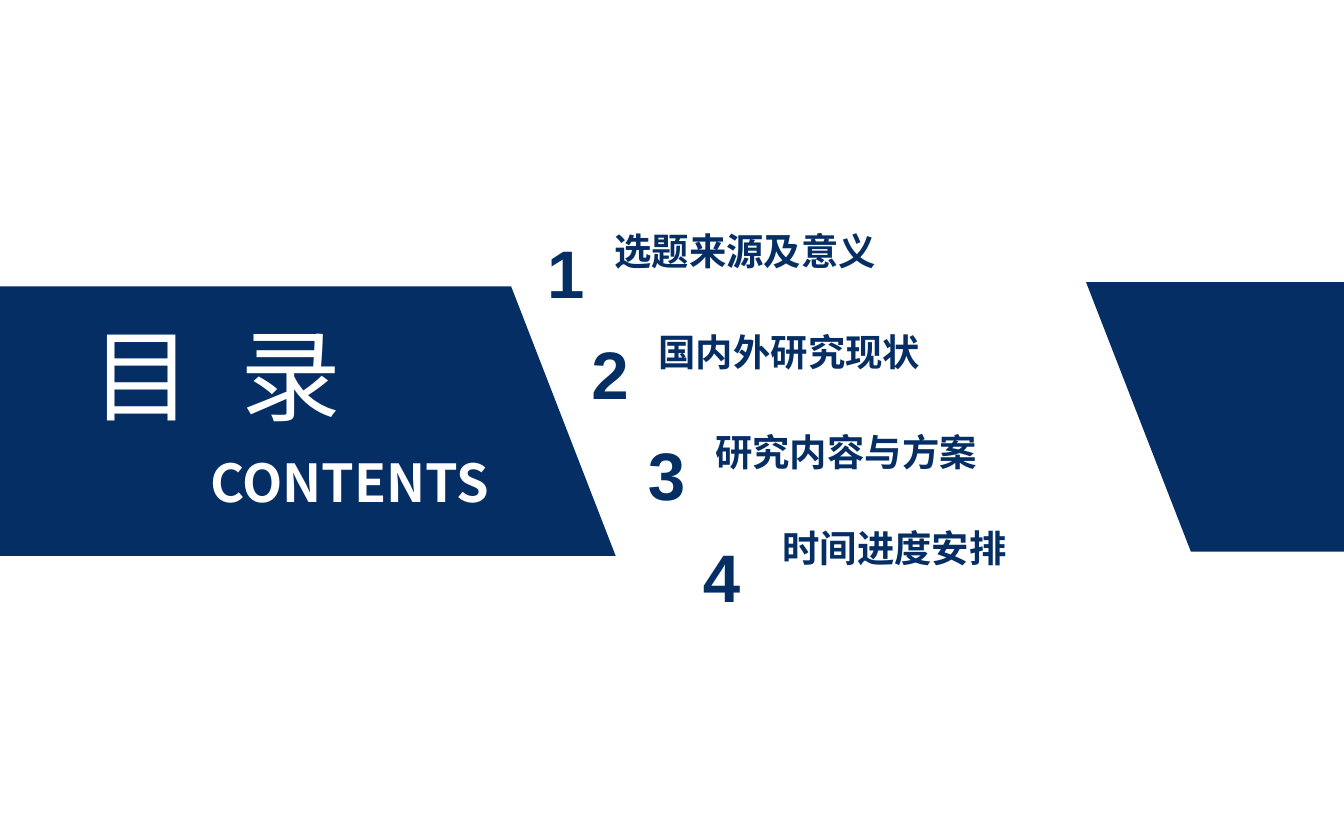
from dataclasses import dataclass

from lxml import etree
from pptx import Presentation
from pptx.dml import color
from pptx.enum import text
from pptx.oxml import ns
from pptx.util import Pt


@dataclass(frozen=True)
class Theme:
    navy: color.RGBColor = color.RGBColor(0x05, 0x2E, 0x65)
    white: color.RGBColor = color.RGBColor(0xFF, 0xFF, 0xFF)
    han: str = "Noto Sans CJK SC"
    latin: str = "Arial"
    title: int = 54
    subtitle: int = 28
    number: int = 36
    label: int = 20


theme = Theme()


def write(box, words, font, size, ink, bold, anchor, align, insets, wrap):
    frame = box.text_frame
    frame.auto_size = text.MSO_AUTO_SIZE.NONE
    frame.word_wrap = wrap
    frame.vertical_anchor = anchor
    frame.margin_left, frame.margin_top = [Pt(inset) for inset in insets]
    frame.margin_right, frame.margin_bottom = frame.margin_left, frame.margin_top
    para = frame.paragraphs[0]
    para.alignment = align
    span = para.add_run()
    span.text = words
    span.font.name = font
    span.font.size = Pt(size)
    span.font.bold = bold
    span.font.color.rgb = ink
    east = etree.SubElement(span.font._element, ns.qn("a:ea"))
    east.set("typeface", font)
    return para


deck = Presentation()
deck.slide_width, deck.slide_height = Pt(720), Pt(450)
page = deck.slides.add_slide(deck.slide_layouts[5])
page.background.fill.solid()
page.background.fill.fore_color.rgb = theme.white

right_banner = [(581.8, 151.2), (720, 151.2), (720, 295.6), (638, 295.6)]
left_banner = [(0, 153.4), (273.8, 153.4), (329.8, 297.8), (0, 297.8)]
for corners in (right_banner, left_banner):
    points = [(Pt(x), Pt(y)) for x, y in corners]
    builder = page.shapes.build_freeform(*points[0])
    builder.add_line_segments(points[1:], close=True)
    banner = builder.convert_to_shape()
    banner.shadow.inherit = False
    banner.fill.solid()
    banner.fill.fore_color.rgb = theme.navy
    banner.line.fill.background()

middle, top = text.MSO_ANCHOR.MIDDLE, text.MSO_ANCHOR.TOP
center, left = text.PP_ALIGN.CENTER, text.PP_ALIGN.LEFT

title = page.shapes.title
page.shapes._spTree.append(title._element)
title.left, title.top, title.width, title.height = Pt(36.7), Pt(168.5), Pt(158.4), Pt(62.6)
para = write(title, "目 录", theme.han, theme.title, theme.white, False, middle, center, (0, 0), False)
para.runs[0].font._element.set("spc", "700")

subtitle = page.shapes.add_textbox(Pt(99.4), Pt(241.9), Pt(175.7), Pt(32.4))
write(subtitle, "CONTENTS", theme.han, theme.subtitle, theme.white, True, middle, center, (0, 0), False)

chapters = [
    ("选题来源及意义", 286.6, 322.6, 117.4, 117.4),
    ("国内外研究现状", 310.3, 346.3, 171.4, 171.4),
    ("研究内容与方案", 340.6, 376.6, 225.4, 225),
    ("时间进度安排", 370.1, 412.6, 280.1, 276.5),
]
for number, (name, number_left, label_left, number_top, label_top) in enumerate(chapters, 1):
    box = page.shapes.add_textbox(Pt(number_left), Pt(number_top), Pt(23.8), Pt(36))
    write(box, str(number), theme.latin, theme.number, theme.navy, True, top, left, (6.5, 6.5), True)
    box = page.shapes.add_textbox(Pt(label_left), Pt(label_top), Pt(234), Pt(33.8))
    para = write(box, name, theme.han, theme.label, theme.navy, True, top, left, (6.5, 0), True)
    para.line_spacing = 1.2

deck.save("out.pptx")
